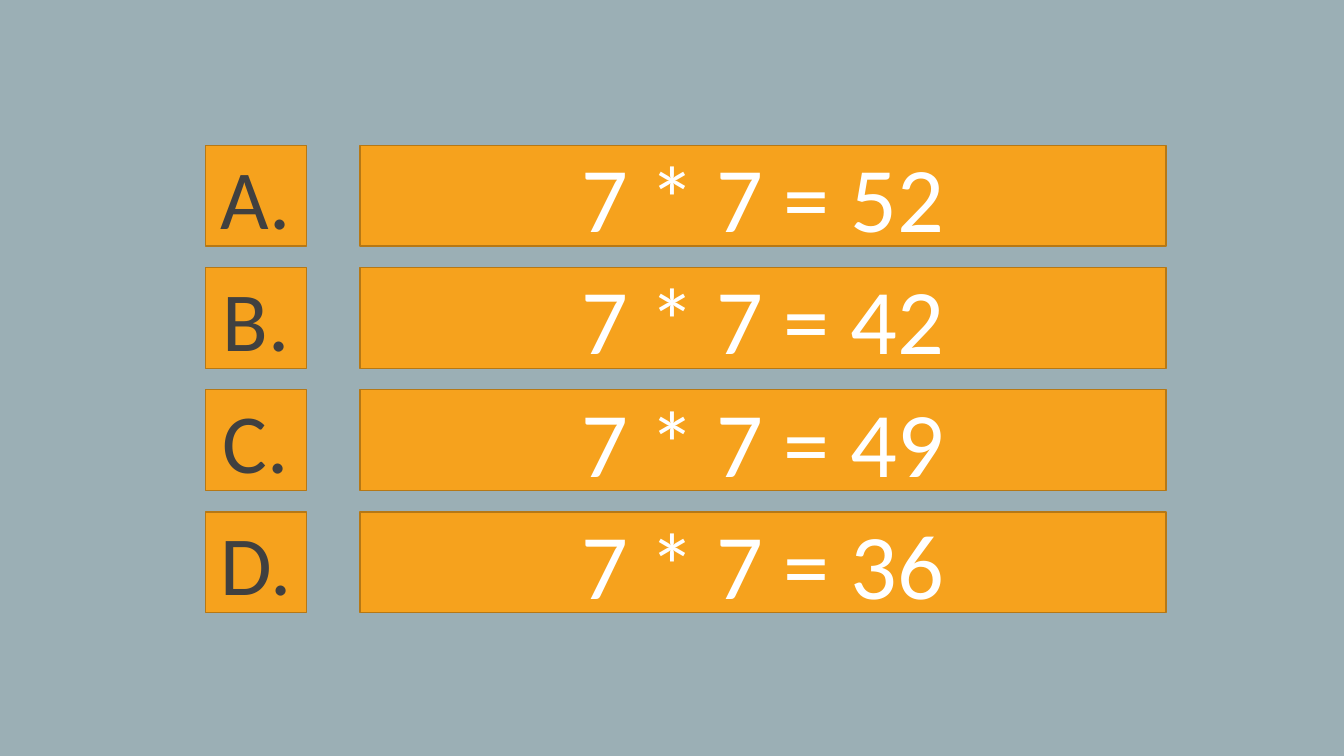
from dataclasses import dataclass

from pptx import Presentation
from pptx.dml.color import RGBColor
from pptx.enum.shapes import MSO_SHAPE
from pptx.enum.text import MSO_ANCHOR, PP_ALIGN
from pptx.slide import Slide
from pptx.util import Cm, Pt

COLORS = {
    "background": "9BAFB5",
    "box": "F6A21D",
    "border": "B67815",
    "letter": "404040",
    "equation": "FFFFFF",
}
FIRST_TOP = 3.66
ROW_PITCH = 3.08
BOX_HEIGHT = 2.54


@dataclass(frozen=True)
class Column:
    left: float
    width: float
    size: int
    color: str


LETTERS = Column(left=5.18, width=2.54, size=60, color="letter")
EQUATIONS = Column(left=9.07, width=20.32, size=66, color="equation")

ANSWERS = [
    ("A.", "7 * 7 = 52"),
    ("B.", "7 * 7 = 42"),
    ("C.", "7 * 7 = 49"),
    ("D.", "7 * 7 = 36"),
]


def rgb(name: str) -> RGBColor:
    return RGBColor.from_string(COLORS[name])


def add_box(slide: Slide, column: Column, row: int, text: str) -> None:
    box = slide.shapes.add_shape(
        MSO_SHAPE.RECTANGLE,
        Cm(column.left), Cm(FIRST_TOP + row * ROW_PITCH),
        Cm(column.width), Cm(BOX_HEIGHT),
    )
    box.shadow.inherit = False
    box.fill.solid()
    box.fill.fore_color.rgb = rgb("box")
    box.line.color.rgb = rgb("border")
    box.line.width = Pt(1)

    frame = box.text_frame
    frame.word_wrap = True
    frame.vertical_anchor = MSO_ANCHOR.MIDDLE
    caption = frame.paragraphs[0]
    caption.text = text
    caption.alignment = PP_ALIGN.CENTER
    caption.font.name = "Calibri"
    caption.font.size = Pt(column.size)
    caption.font.color.rgb = rgb(column.color)


def main() -> None:
    deck = Presentation()
    deck.slide_width, deck.slide_height = Cm(33.87), Cm(19.05)

    # Blank layout with a plain background
    quiz = deck.slides.add_slide(deck.slide_layouts[6])
    quiz.background.fill.solid()
    quiz.background.fill.fore_color.rgb = rgb("background")

    # One row per answer: letter, then equation
    for row, (letter, equation) in enumerate(ANSWERS):
        add_box(quiz, LETTERS, row, letter)
        add_box(quiz, EQUATIONS, row, equation)

    deck.save("out.pptx")


if __name__ == "__main__":
    main()
